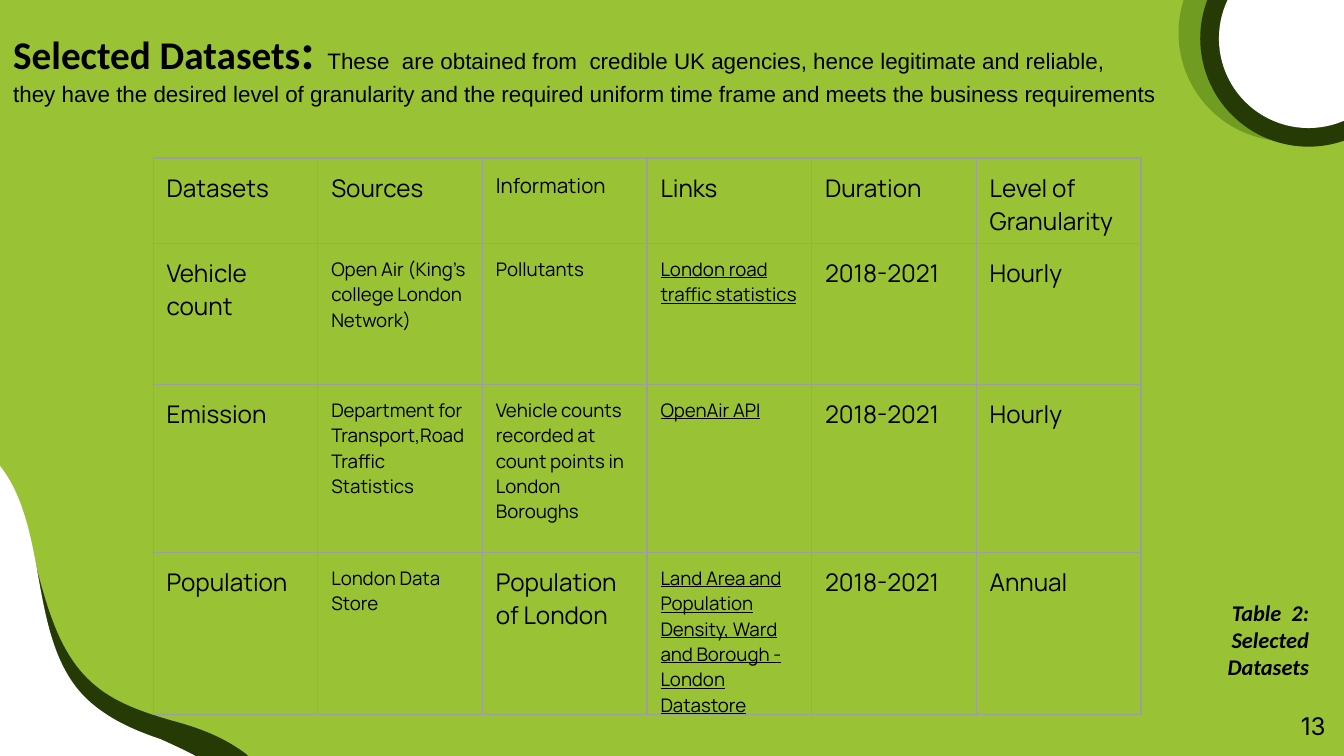
from dataclasses import dataclass
from typing import NamedTuple

from lxml.etree import SubElement
from pptx import Presentation
from pptx.dml.color import RGBColor as Rgb
from pptx.enum.shapes import MSO_SHAPE as Preset
from pptx.enum.text import PP_ALIGN as Align
from pptx.oxml.ns import qn
from pptx.util import Pt


@dataclass(frozen=True)
class Theme:
    back: str = "9AC235"
    dark: str = "253A04"
    leaf: str = "40700A"
    white: str = "FFFFFF"
    ink: str = "000000"
    rule: str = "9E9E9E"
    head: str = "Calibri"
    body: str = "Arial"
    grid: str = "Manrope"
    page: str = "Inter"
    title: float = 21
    colon: float = 27
    gap: float = 30
    note: float = 12
    large: float = 13
    mid: float = 11
    small: float = 10


THEME = Theme()
PAD = 7.2


class Disc(NamedTuple):
    left: float
    top: float
    size: float
    color: str
    alpha: int = 100


class Wave(NamedTuple):
    """A closed outline: two numbers make a line, six make a Bezier curve."""
    color: str
    start: tuple
    steps: list


class Cell(NamedTuple):
    text: str
    size: float = THEME.large
    line: bool = False


class Part(NamedTuple):
    text: str
    size: float
    font: str
    bold: bool = True


def small(text: str) -> Cell:
    return Cell(text, THEME.small)


def link(text: str) -> Cell:
    return Cell(text, THEME.small, True)


WAVES = [
    Wave(THEME.dark, (-35, 229), [
        (-55, 225, -78, 230, -92, 246), (-109, 216),
        (-125, 273, -135, 332, -139, 392), (-140, 410, -140, 430, -129, 444),
        (-121, 454, -109, 459, -96, 462), (-90, 463, -84, 464, -78, 465),
        (-20, 471, 37, 472, 95, 467), (114, 466, 136, 462, 143, 444),
        (149, 430, 143, 414, 132, 404), (120, 395, 107, 390, 92, 386),
        (78, 382, 63, 377, 52, 368), (14, 338, 25, 271, -12, 240),
        (-19, 235, -27, 231, -35, 229)]),
    Wave(THEME.white, (-28, 229), [
        (-48, 223, -71, 227, -86, 241), (-99, 210),
        (-121, 265, -136, 323, -145, 382), (-148, 400, -150, 419, -140, 435),
        (-133, 446, -122, 451, -109, 455), (-103, 457, -96, 459, -91, 460),
        (-35, 472, 24, 477, 81, 477), (100, 478, 122, 475, 131, 459),
        (138, 446, 133, 429, 123, 418), (113, 408, 99, 402, 86, 396),
        (71, 391, 58, 385, 47, 375), (12, 342, 29, 276, -6, 243),
        (-12, 236, -19, 232, -28, 229)]),
]
DISCS = [
    Disc(631.4, -40.3, 116, THEME.leaf, 46),
    Disc(643, -37.4, 116, THEME.dark),
    Disc(653, -27.4, 96, THEME.white),
]
TITLE = [
    [Part("Selected Datasets", THEME.title, THEME.head),
     Part(":", THEME.colon, THEME.head),
     Part(" ", THEME.gap, "Roboto Condensed"),
     Part("These  are obtained from  credible UK agencies, hence legitimate "
          "and reliable,", THEME.note, THEME.body, False)],
    [Part("they have the desired level of granularity and the required "
          "uniform time frame and meets the business requirements",
          THEME.note, THEME.body, False)],
]
YEARS = Cell("2018-2021")
HEIGHTS = [44, 75.6, 90, 86.8]
ROWS = [
    [Cell("Datasets"), Cell("Sources"), Cell("Information", THEME.mid),
     Cell("Links"), Cell("Duration"), Cell("Level of Granularity")],
    [Cell("Vehicle count"), small("Open Air (King's college London Network)"),
     small("Pollutants"), link("London road traffic statistics"),
     YEARS, Cell("Hourly")],
    [Cell("Emission"),
     small("Department for Transport,Road Traffic Statistics"),
     small("Vehicle counts recorded at count points in London Boroughs"),
     link("OpenAir API"), YEARS, Cell("Hourly")],
    [Cell("Population"), small("London Data Store"),
     Cell("Population of London"),
     link("Land Area and Population Density, Ward and Borough - "
          "London Datastore"), YEARS, Cell("Annual")],
]


def paint(shape, color: str) -> None:
    shape.shadow.inherit = False
    shape.fill.solid()
    shape.fill.fore_color.rgb = Rgb.from_string(color)
    shape.line.fill.background()


def style(font, size: float, name: str) -> None:
    font.size, font.name = Pt(size), name
    font.color.rgb = Rgb.from_string(THEME.ink)


def bend(shape, wave: Wave) -> None:
    """Turn the straight steps of an outline into its Bezier curves."""
    ends = [wave.start] + [step[-2:] for step in wave.steps]
    left, top = (min(axis) for axis in zip(*ends))
    lines = list(shape._element.iter(qn("a:lnTo")))
    for line, step in zip(lines, wave.steps):
        if len(step) == 2:
            continue
        line.tag = qn("a:cubicBezTo")
        line.remove(line[0])
        for x, y in zip(step[::2], step[1::2]):
            SubElement(line, qn("a:pt"), x=str(x - left), y=str(y - top))


def draw_wave(shapes, wave: Wave) -> None:
    pen = shapes.build_freeform(*wave.start, scale=float(Pt(1)))
    pen.add_line_segments([step[-2:] for step in wave.steps], close=True)
    shape = pen.convert_to_shape()
    bend(shape, wave)
    paint(shape, wave.color)


def draw_disc(shapes, disc: Disc) -> None:
    shape = shapes.add_shape(Preset.OVAL, Pt(disc.left), Pt(disc.top),
                             Pt(disc.size), Pt(disc.size))
    paint(shape, disc.color)
    if disc.alpha < 100:
        tint = next(shape._element.spPr.iter(qn("a:srgbClr")))
        SubElement(tint, qn("a:alpha"), val=str(disc.alpha * 1000))


def add_box(shapes, left: float, top: float, width: float, height: float):
    frame = shapes.add_textbox(Pt(left), Pt(top), Pt(width),
                               Pt(height)).text_frame
    frame.word_wrap = True
    frame.margin_left = frame.margin_right = Pt(PAD)
    frame.margin_top = frame.margin_bottom = Pt(PAD)
    return frame


def draw_title(shapes) -> None:
    frame = add_box(shapes, 0, 0, 714, 80)
    for i, parts in enumerate(TITLE):
        para = frame.add_paragraph() if i else frame.paragraphs[0]
        for part in parts:
            run = para.add_run()
            run.text = part.text
            style(run.font, part.size, part.font)
            run.font.bold = part.bold


def draw_label(frame, text: str, size: float, name: str,
               strong: bool = False) -> None:
    para = frame.paragraphs[0]
    para.text, para.alignment = text, Align.RIGHT
    style(para.font, size, name)
    para.font.bold = para.font.italic = strong


def rule_cell(cell) -> None:
    """Put a thin line on all four sides of a cell."""
    props = cell._tc.get_or_add_tcPr()
    for side in ("lnL", "lnR", "lnT", "lnB"):
        edge = SubElement(props, qn(f"a:{side}"), w=str(Pt(0.75)))
        fill = SubElement(edge, qn("a:solidFill"))
        SubElement(fill, qn("a:srgbClr"), val=THEME.rule)


def draw_table(shapes) -> None:
    wide = 88.2
    count = len(ROWS[0])
    table = shapes.add_table(len(ROWS), count, Pt(82.1), Pt(84.7),
                             Pt(wide * count), Pt(sum(HEIGHTS))).table
    table.first_row = table.horz_banding = False
    for col in table.columns:
        col.width = Pt(wide)
    for row, tall, items in zip(table.rows, HEIGHTS, ROWS):
        row.height = Pt(tall)
        for cell, item in zip(row.cells, items):
            rule_cell(cell)
            cell.fill.background()
            cell.margin_left = cell.margin_right = Pt(PAD)
            cell.margin_top = cell.margin_bottom = Pt(PAD)
            para = cell.text_frame.paragraphs[0]
            para.text = item.text
            style(para.font, item.size, THEME.grid)
            para.font.underline = item.line


def main() -> None:
    deck = Presentation()
    deck.slide_width, deck.slide_height = Pt(720), Pt(405)
    slide = deck.slides.add_slide(deck.slide_layouts[6])
    slide.background.fill.solid()
    slide.background.fill.fore_color.rgb = Rgb.from_string(THEME.back)
    shapes = slide.shapes
    for wave in WAVES:
        draw_wave(shapes, wave)
    for disc in DISCS:
        draw_disc(shapes, disc)
    draw_title(shapes)
    draw_table(shapes)
    draw_label(add_box(shapes, 627, 314, 81.4, 58.3),
               "Table  2: Selected Datasets", THEME.note, THEME.head, True)
    draw_label(add_box(shapes, 674, 373.7, 43.2, 31), "13", THEME.large,
               THEME.page)
    deck.save("out.pptx")


if __name__ == "__main__":
    main()
